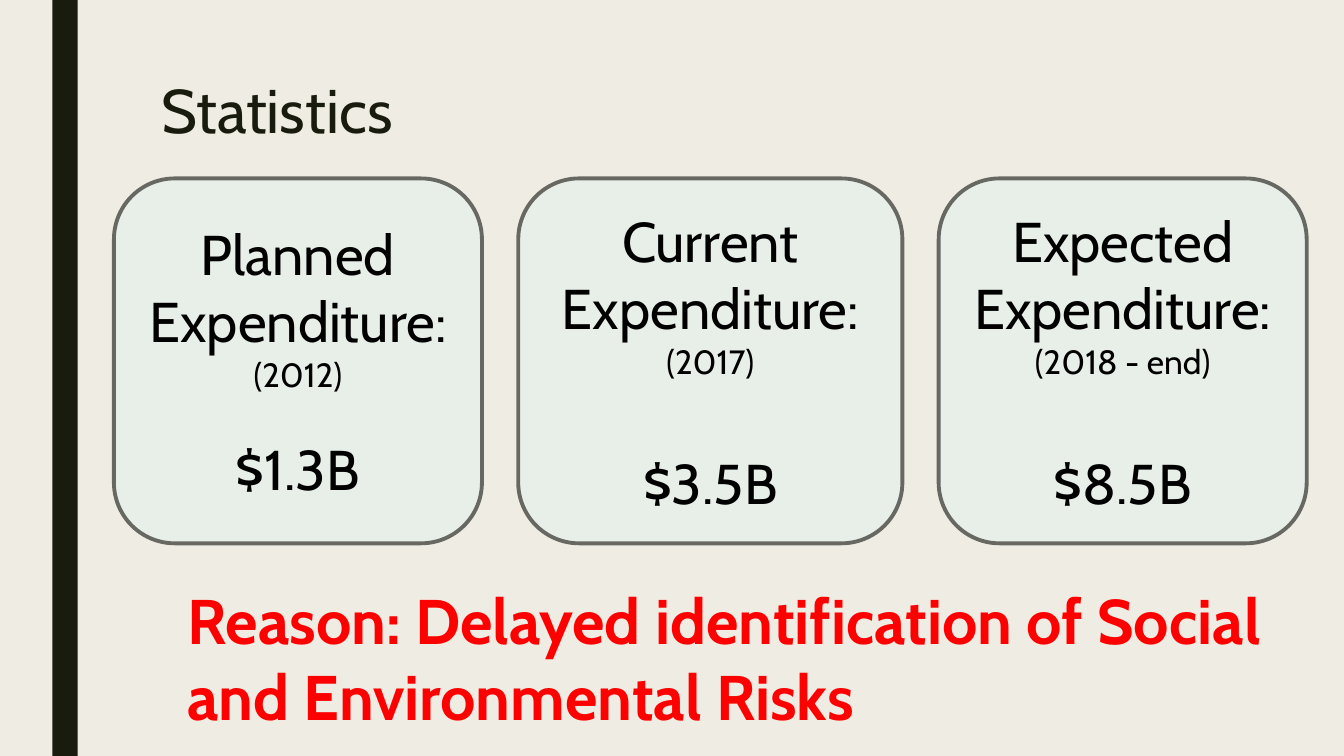
from pptx import Presentation
from pptx.dml.color import RGBColor
from pptx.enum.shapes import MSO_SHAPE as Shape
from pptx.enum.text import MSO_ANCHOR as Anchor, PP_ALIGN as Align
from pptx.util import Inches, Pt

TITLE = "Statistics"
CARDS = [
    ("Planned Expenditure:", "(2012)", "$1.3B", 3.65, 29),
    ("Current Expenditure:", "(2017)", "$3.5B", 3.81, 48),
    ("Expected Expenditure:", "(2018 - end)", "$8.5B", 3.65, 48),
]
REASON = "Reason: Delayed identification of Social and Environmental Risks"

FONT = "Cabin"
CREAM = RGBColor(0xEF, 0xED, 0xE3)
DARK = RGBColor(0x19, 0x1B, 0x0E)
MINT = RGBColor(0xE8, 0xEE, 0xE8)
GREY = RGBColor(0x68, 0x68, 0x63)
BLACK = RGBColor(0, 0, 0)
RED = RGBColor(0xFF, 0, 0)

CARD_LEFT, CARD_TOP, CARD_HEIGHT, CARD_GAP = 1.13, 1.77, 3.62, 0.36


def write(para, text, size, color, align=Align.LEFT, bold=False):
    para.text = text
    para.alignment = align
    para.font.name = FONT
    para.font.size = Pt(size)
    para.font.bold = bold
    para.font.color.rgb = color


def add_box(page, kind, left, top, width, height, fill):
    box = page.shapes.add_shape(
        kind, Inches(left), Inches(top), Inches(width), Inches(height))
    box.shadow.inherit = False
    box.fill.solid()
    box.fill.fore_color.rgb = fill
    box.line.fill.background()
    return box


def add_card(page, left, heading, period, amount, width, amount_gap):
    card = add_box(page, Shape.ROUNDED_RECTANGLE,
                   left, CARD_TOP, width, CARD_HEIGHT, MINT)
    card.line.color.rgb = GREY
    card.line.width = Pt(2.75)
    frame = card.text_frame
    frame.word_wrap = True
    frame.vertical_anchor = Anchor.MIDDLE
    write(frame.paragraphs[0], heading, 40, BLACK, Align.CENTER)
    write(frame.add_paragraph(), period, 24, BLACK, Align.CENTER)
    amount_para = frame.add_paragraph()
    write(amount_para, amount, 40, BLACK, Align.CENTER)
    amount_para.space_before = Pt(amount_gap)


def main():
    deck = Presentation()
    deck.slide_width, deck.slide_height = Inches(13.33), Inches(7.5)
    page = deck.slides.add_slide(deck.slide_layouts[5])
    page.background.fill.solid()
    page.background.fill.fore_color.rgb = CREAM

    add_box(page, Shape.RECTANGLE, 0.52, 0, 0.25, 7.5, DARK)

    title = page.shapes.title
    title.left, title.top = Inches(1.5), Inches(0.75)
    title.width, title.height = Inches(10.5), Inches(1.62)
    title.text_frame.vertical_anchor = Anchor.TOP
    title_para = title.text_frame.paragraphs[0]
    write(title_para, TITLE, 44, DARK)
    title_para.line_spacing = 0.89

    left = CARD_LEFT
    for heading, period, amount, width, amount_gap in CARDS:
        add_card(page, left, heading, period, amount, width, amount_gap)
        left += width + CARD_GAP

    reason = page.shapes.add_textbox(
        Inches(1.76), Inches(5.72), Inches(10.96), Inches(1.62))
    reason.text_frame.word_wrap = True
    write(reason.text_frame.paragraphs[0], REASON, 45, RED, bold=True)

    deck.save("out.pptx")


if __name__ == "__main__":
    main()
